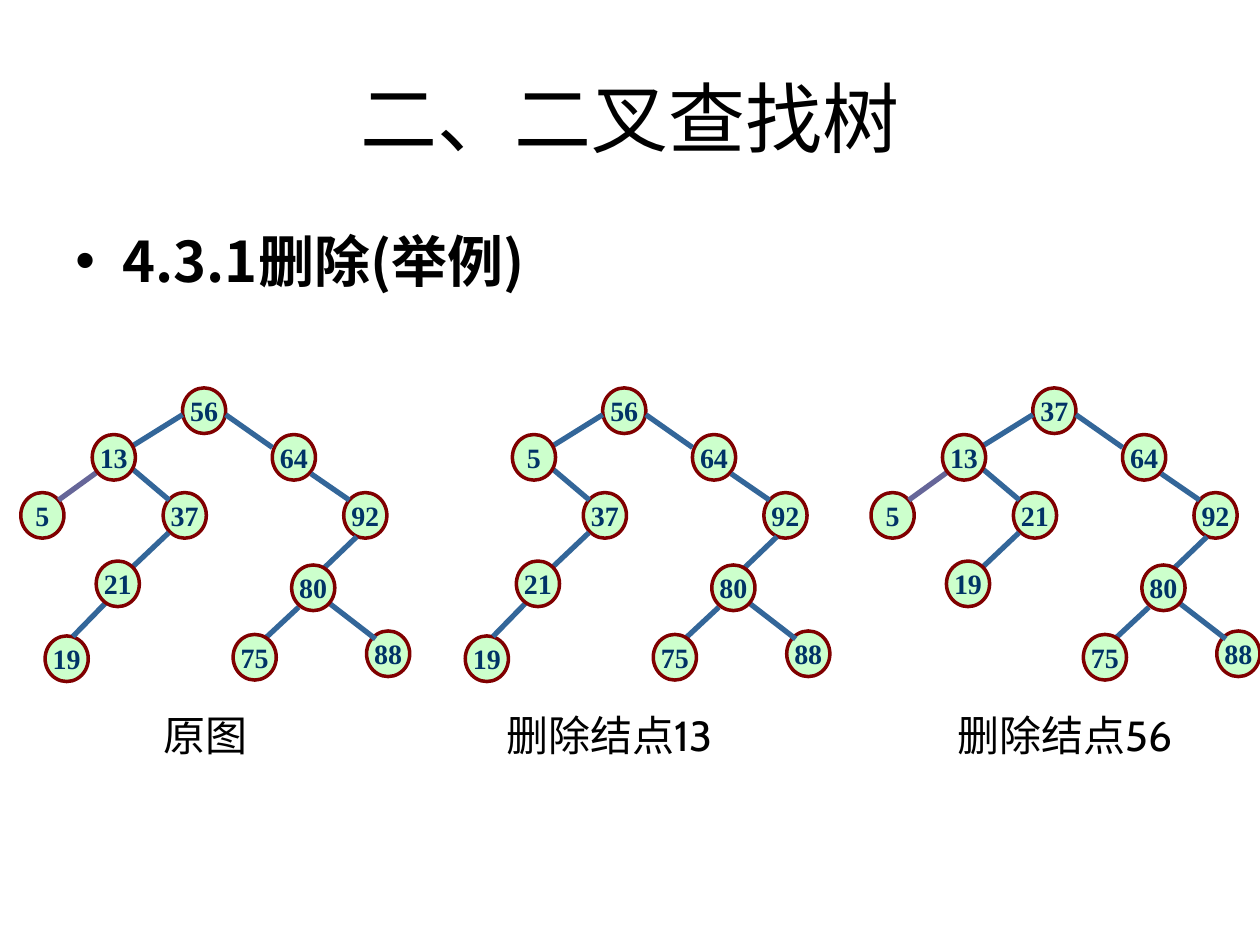
import pptx
import pptx.dml.color
import pptx.enum.shapes
import pptx.enum.text
import pptx.oxml.ns
import pptx.util
from lxml import etree
from pptx.util import Cm, Pt

COLORS = {
    "text": "000000",
    "node": "CCFFCC",
    "ring": "800000",
    "key": "003366",
    "edge": "336699",
    "leaf edge": "666699",
}
CJK_FONT = "Noto Sans CJK SC"
CENTER = pptx.enum.text.PP_ALIGN.CENTER
LEFT = pptx.enum.text.PP_ALIGN.LEFT
MIDDLE = pptx.enum.text.MSO_ANCHOR.MIDDLE
TOP = pptx.enum.text.MSO_ANCHOR.TOP

# Node slots: left and top in cm, within one tree
NODE_WIDTH, NODE_HEIGHT = 0.87, 0.92
SLOTS = {
    "root": (3.68, 7.82),
    "R": (5.49, 8.76),
    "LL": (0.42, 9.93),
    "RR": (6.93, 9.93),
    "LR": (3.29, 9.93),
    "RRLR": (7.39, 12.72),
    "LRLL": (0.91, 12.82),
    "RRL": (5.88, 11.39),
    "LRL": (1.94, 11.31),
    "L": (1.86, 8.76),
    "RRLL": (4.70, 12.79),
}
FRONT_SLOTS = {"RRL", "LRL", "L", "RRLL"}  # these cover the edge ends

# Edge from parent to the slot named: x1, y1, x2, y2 in cm
EDGES = {
    "L": (3.68, 8.36, 2.62, 9.02),
    "LL": (1.94, 9.53, 1.18, 10.08),
    "R": (4.55, 8.36, 5.49, 9.02),
    "LR": (2.63, 9.42, 3.41, 10.08),
    "LRL": (3.40, 10.74, 2.46, 11.63),
    "RR": (6.27, 9.55, 7.04, 10.08),
    "RRL": (7.19, 10.82, 6.45, 11.53),
    "RRLR": (6.65, 12.17, 7.57, 12.88),
    "LRLL": (2.24, 12.04, 1.47, 12.83),
    "RRLL": (6.02, 12.24, 5.28, 12.93),
}

# Keys in each tree; the right subtree never changes
RIGHT_KEYS = {"R": 64, "RR": 92, "RRL": 80, "RRLL": 75, "RRLR": 88}
TREES = [
    (0, {"root": 56, "L": 13, "LL": 5, "LR": 37, "LRL": 21, "LRLL": 19}),
    (8.47, {"root": 56, "L": 5, "LR": 37, "LRL": 21, "LRLL": 19}),
    (17.14, {"root": 37, "L": 13, "LL": 5, "LR": 21, "LRL": 19}),
]

# Captions: text, left, width, alignment
CAPTIONS = [
    ("原图", 2.34, 3.61, CENTER),
    ("删除结点13", 9.96, 5.28, LEFT),
    ("删除结点56", 19.05, 5.08, LEFT),
]


def rgb(name):
    return pptx.dml.color.RGBColor.from_string(COLORS[name])


def format_text(para, font, size, color="text", bold=False):
    for span in para.runs:
        span.font.name = font
        span.font.size = Pt(size)
        span.font.bold = bold
        span.font.color.rgb = rgb(color)
        east_asian = etree.SubElement(
            span.font._element, pptx.oxml.ns.qn("a:ea"))
        east_asian.set("typeface", CJK_FONT)


def add_text(page, text, place, font, size, align=LEFT, anchor=TOP,
             bold=False, space_before=0):
    box = page.shapes.add_textbox(*(Cm(value) for value in place))
    frame = box.text_frame
    frame.word_wrap = True
    frame.vertical_anchor = anchor
    frame.text = text
    para = frame.paragraphs[0]
    para.alignment = align
    para.space_before = Pt(space_before)
    format_text(para, font, size, bold=bold)
    return para


def add_bullet(para, indent):
    properties = para._p.get_or_add_pPr()
    properties.set("marL", str(Cm(indent)))
    properties.set("indent", str(-Cm(indent)))
    for tag, key, value in (("a:buFont", "typeface", "Arial"),
                            ("a:buChar", "char", "•")):
        etree.SubElement(properties, pptx.oxml.ns.qn(tag)).set(key, value)


def add_node(tree, key, left, top):
    node = tree.shapes.add_shape(
        pptx.enum.shapes.MSO_SHAPE.OVAL,
        Cm(left), Cm(top), Cm(NODE_WIDTH), Cm(NODE_HEIGHT))
    node.shadow.inherit = False
    node.fill.solid()
    node.fill.fore_color.rgb = rgb("node")
    node.line.color.rgb = rgb("ring")
    node.line.width = Pt(2)
    frame = node.text_frame
    frame.word_wrap = False
    frame.vertical_anchor = MIDDLE
    frame.text = str(key)
    frame.paragraphs[0].alignment = CENTER
    format_text(frame.paragraphs[0], "Times New Roman", 16, "key", True)


def add_edge(tree, x1, y1, x2, y2, color):
    edge = tree.shapes.add_connector(
        pptx.enum.shapes.MSO_CONNECTOR.STRAIGHT,
        Cm(x1), Cm(y1), Cm(x2), Cm(y2))
    edge.line.color.rgb = rgb(color)
    edge.line.width = Pt(3)
    etree.SubElement(edge._element.spPr, pptx.oxml.ns.qn("a:effectLst"))


def add_tree(page, offset, keys):
    tree = page.shapes.add_group_shape()

    def add_nodes(in_front):
        for slot, (left, top) in SLOTS.items():
            if slot in keys and (slot in FRONT_SLOTS) == in_front:
                add_node(tree, keys[slot], left + offset, top)

    add_nodes(in_front=False)
    for slot, (x1, y1, x2, y2) in EDGES.items():
        if slot in keys:
            color = "leaf edge" if slot == "LL" else "edge"
            add_edge(tree, x1 + offset, y1, x2 + offset, y2, color)
    add_nodes(in_front=True)


def main():
    deck = pptx.Presentation()
    deck.slide_width, deck.slide_height = Cm(25.4), Cm(19.05)
    page = deck.slides.add_slide(deck.slide_layouts[6])

    # Title and heading
    add_text(page, "二、二叉查找树", (1.27, 0.76, 22.86, 3.18),
             "Arial", 44, CENTER, MIDDLE)
    heading = add_text(page, "4.3.1删除(举例)", (1.27, 4.45, 22.86, 12.57),
                       CJK_FONT, 32, bold=True, space_before=8)
    add_bullet(heading, 0.95)

    # Trees before and after each deletion
    for offset, keys in TREES:
        add_tree(page, offset, {**keys, **RIGHT_KEYS})

    # Captions
    for text, left, width, align in CAPTIONS:
        add_text(page, text, (left, 14.17, width, 1.27), "Cabin", 24, align,
                 space_before=15)

    deck.save("out.pptx")


if __name__ == "__main__":
    main()
